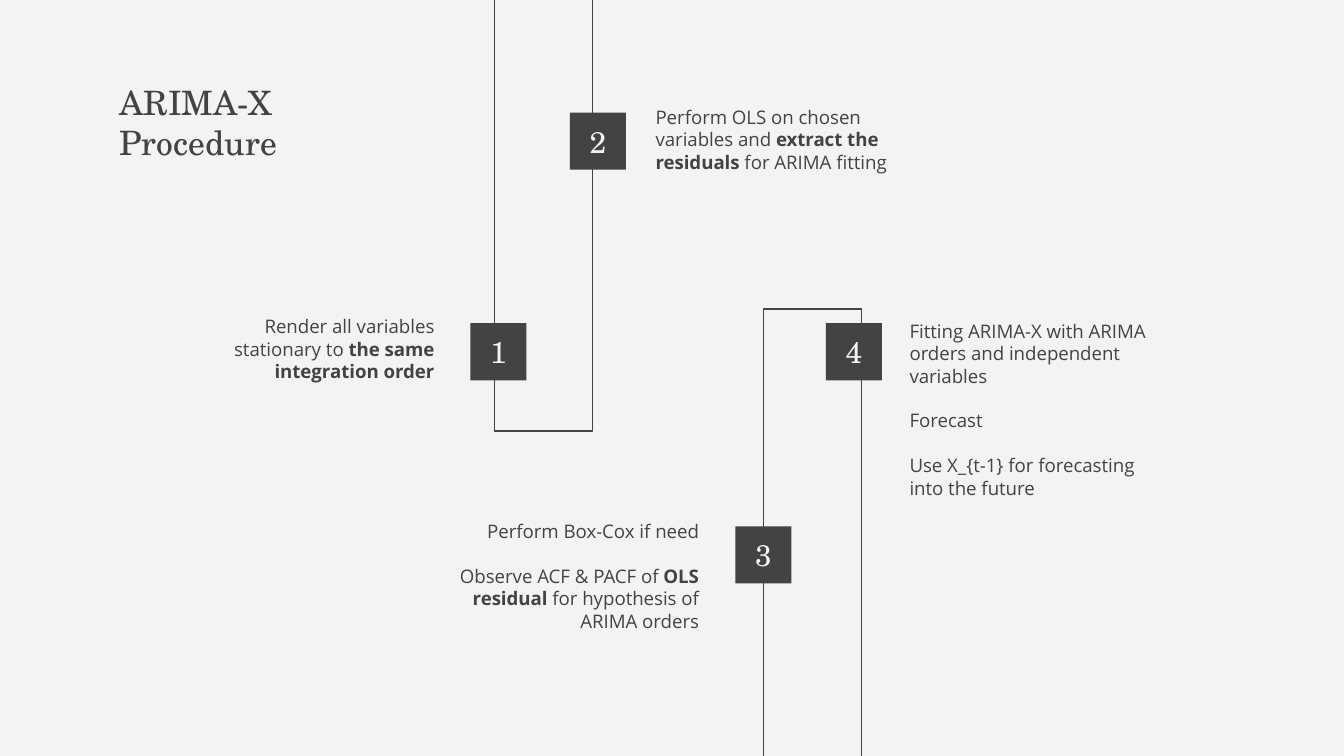
"""Build the ARIMA-X procedure slide."""
from dataclasses import dataclass

from pptx import Presentation
from pptx import util as u
from pptx.dml.color import RGBColor
from pptx.enum import shapes, text

DARK, PALE = "434343", "F3F3F3"
SERIF, SANS = "TeX Gyre Schola", "Open Sans"
LEFT, MID, RIGHT = text.PP_ALIGN.LEFT, text.PP_ALIGN.CENTER, text.PP_ALIGN.RIGHT


@dataclass
class Box:
    left: float
    top: float
    width: float
    height: float

    def place(self) -> tuple:
        """Return the position and size as lengths."""
        return tuple(u.Cm(v) for v in (self.left, self.top, self.width, self.height))


@dataclass
class Step:
    num: str
    x: float
    y: float
    body: Box
    align: text.PP_ALIGN
    paras: list


FRAMES = [Box(9.35, -0.23, 1.85, 8.38), Box(14.43, 5.84, 1.85, 8.64)]
STEPS = [
    Step("1", 8.89, 6.11, Box(3.35, 5.71, 5.11, 3.1), RIGHT, [
        [("Render all variables stationary to ", False), ("the same integration order", True)],
    ]),
    Step("2", 10.77, 2.13, Box(12.14, 1.75, 5.23, 3.1), LEFT, [
        [("Perform OLS on chosen variables and ", False), ("extract the residuals ", True),
         ("for ARIMA fitting", False)],
    ]),
    Step("3", 13.9, 9.95, Box(8.23, 9.58, 5.23, 3.1), RIGHT, [
        [("Perform Box-Cox if need", False)],
        [("Observe ACF & PACF of ", False), ("OLS residual ", True),
         ("for hypothesis of ARIMA orders", False)],
    ]),
    Step("4", 15.61, 6.11, Box(16.94, 5.79, 5.23, 3.1), LEFT, [
        [("Fitting ARIMA-X with ARIMA orders and independent variables", False)],
        [("Forecast", False)],
        [("Use X_{t-1} for forecasting into the future", False)],
    ]),
]


def paint(code: str) -> RGBColor:
    """Turn a hex string into a colour."""
    return RGBColor.from_string(code)


def write(para, words: str, font: str, size: float, tint: str, bold: bool = False) -> None:
    """Add one formatted run."""
    run = para.add_run()
    run.text = words
    run.font.name, run.font.size, run.font.bold = font, u.Pt(size), bold
    run.font.color.rgb = paint(tint)


def setup(frame, anchor: text.MSO_ANCHOR) -> None:
    """Set wrapping, insets and anchor of a text frame."""
    frame.word_wrap = True
    frame.auto_size = text.MSO_AUTO_SIZE.NONE
    frame.vertical_anchor = anchor
    frame.margin_left = frame.margin_right = u.Cm(0.25)
    frame.margin_top = frame.margin_bottom = u.Cm(0.25)


def draw_rect(slide, box: Box):
    """Add a plain rectangle without shadow."""
    rect = slide.shapes.add_shape(shapes.MSO_SHAPE.RECTANGLE, *box.place())
    rect.shadow.inherit = False
    return rect


def draw_frame(slide, box: Box) -> None:
    """Add one outlined path frame."""
    rect = draw_rect(slide, box)
    rect.fill.background()
    rect.line.color.rgb = paint(DARK)
    rect.line.width = u.Pt(0.75)


def draw_step(slide, step: Step) -> None:
    """Add a step's text and its numbered square."""
    frame = slide.shapes.add_textbox(*step.body.place()).text_frame
    setup(frame, text.MSO_ANCHOR.TOP)
    for i, runs in enumerate(step.paras):
        para = frame.add_paragraph() if i else frame.paragraphs[0]
        para.alignment = step.align
        para.space_before = u.Pt(12 if i else 0)
        for words, bold in runs:
            write(para, words, SANS, 10, DARK, bold)
    mark = draw_rect(slide, Box(step.x, step.y, 1.06, 1.08))
    mark.fill.solid()
    mark.fill.fore_color.rgb = paint(DARK)
    mark.line.fill.background()
    setup(mark.text_frame, text.MSO_ANCHOR.MIDDLE)
    para = mark.text_frame.paragraphs[0]
    para.alignment = MID
    write(para, step.num, SERIF, 16, PALE)


def draw_title(slide) -> None:
    """Move and fill the title placeholder."""
    title = slide.shapes.title
    title.left, title.top, title.width, title.height = Box(2.01, 1.3, 7.21, 2.62).place()
    setup(title.text_frame, text.MSO_ANCHOR.TOP)
    para = title.text_frame.paragraphs[0]
    para.alignment = LEFT
    write(para, "ARIMA-X", SERIF, 18, DARK)
    para.add_line_break()
    write(para, "Procedure", SERIF, 18, DARK)


def main() -> None:
    """Build and save the slide."""
    deck = Presentation()
    deck.slide_width, deck.slide_height = u.Cm(25.4), u.Cm(14.29)
    slide = deck.slides.add_slide(deck.slide_layouts[5])
    slide.background.fill.solid()
    slide.background.fill.fore_color.rgb = paint(PALE)
    draw_title(slide)
    for box in FRAMES:
        draw_frame(slide, box)
    for step in STEPS:
        draw_step(slide, step)
    deck.save("out.pptx")


if __name__ == "__main__":
    main()
